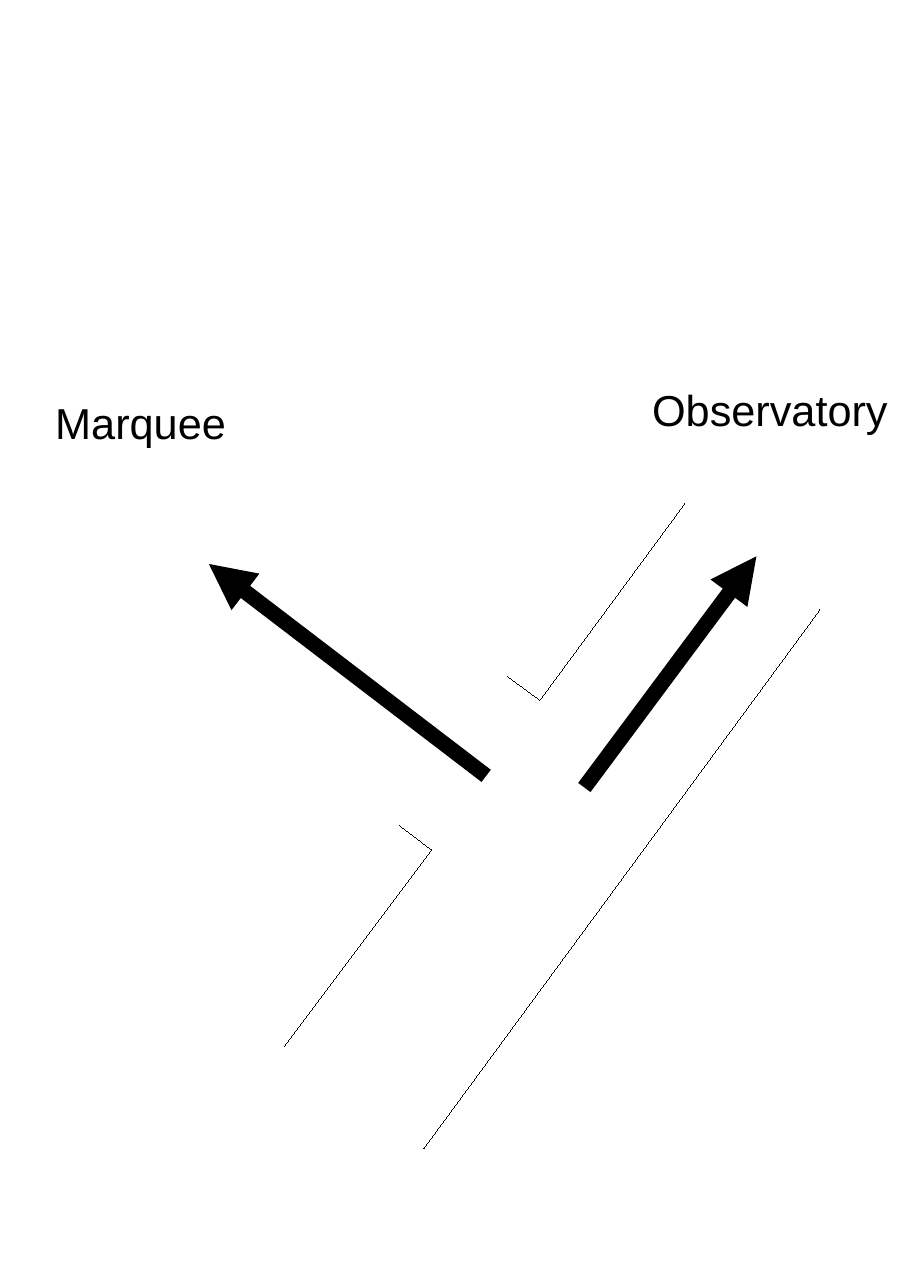
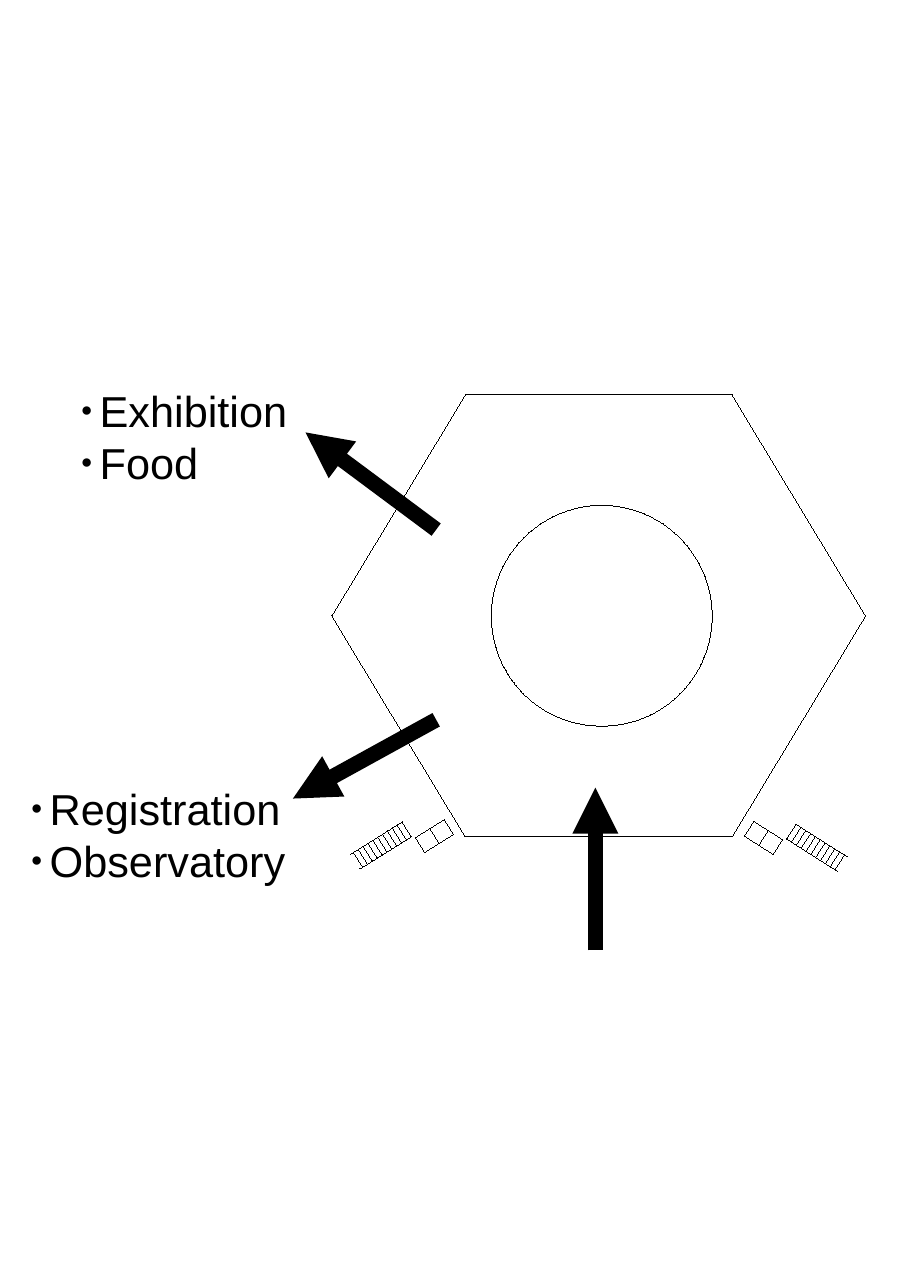
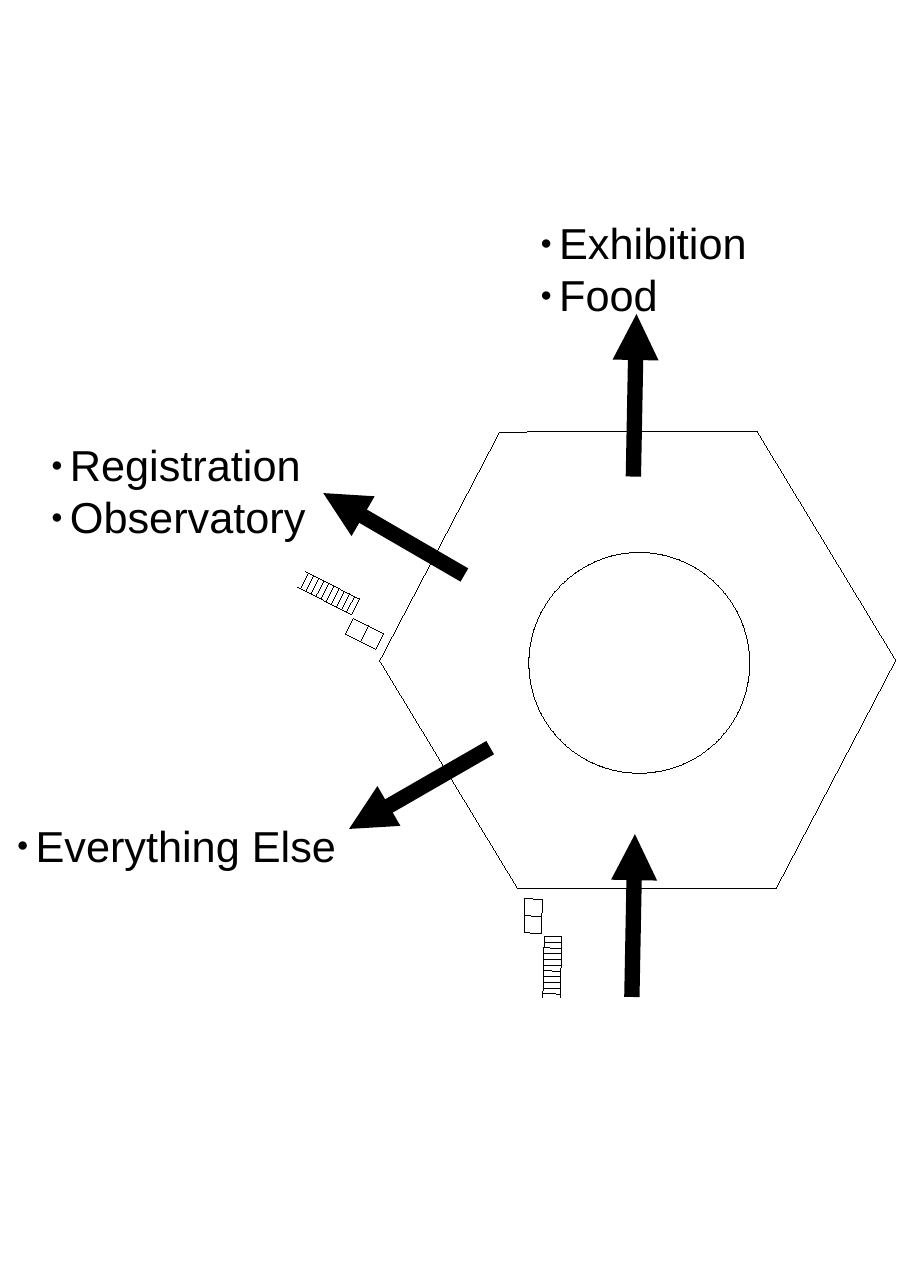
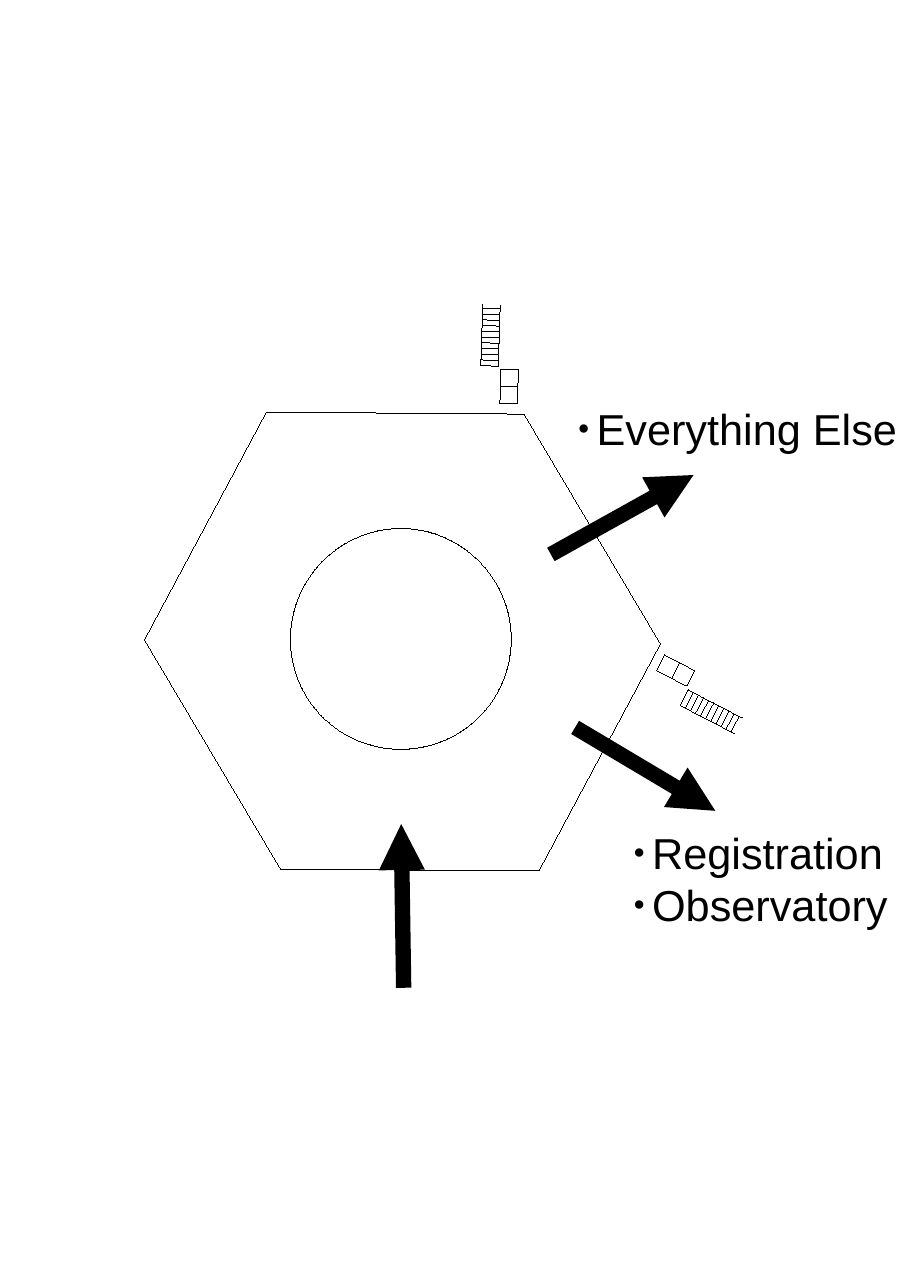
from dataclasses import dataclass
from math import cos, radians, sin
from typing import NamedTuple

from lxml.etree import SubElement
from pptx import Presentation
from pptx.dml.color import RGBColor
from pptx.dml.line import LineFormat
from pptx.enum.shapes import MSO_CONNECTOR, MSO_SHAPE
from pptx.enum.text import MSO_AUTO_SIZE
from pptx.oxml.ns import qn
from pptx.shapes.autoshape import Shape
from pptx.slide import Slide
from pptx.util import Cm, Pt

COLOURS = {"ink": "000000", "paper": "FFFFFF"}
LABEL_FONT = {"name": "Arial", "size": Pt(40)}
LABEL_FRAME = {
    "word_wrap": False,
    "auto_size": MSO_AUTO_SIZE.SHAPE_TO_FIT_TEXT,
    "margin_left": Cm(0.25),
    "margin_right": Cm(0.25),
    "margin_top": Cm(0.13),
    "margin_bottom": Cm(0.13),
}
BULLET_INDENT = Cm(0.61)
LINE_HEIGHT = 1.57
FRAME_PADDING = 0.26

HAIRLINE = Pt(0)
ARROW_WIDTH = Pt(14.17)

HEXAGON_WIDTH, HEXAGON_HEIGHT = 17.4, 14.4
HEXAGON_INSET = 0.302
CIRCLE_DIAMETER = 7.2
CIRCLE_OFFSET = 0.1
STAIR_LENGTH, STAIR_WIDTH = 1.98, 0.57
TREAD_COUNT, LAST_TREAD = 11, 1.87
LIFT_LENGTH = 1.11


class Point(NamedTuple):
    """A place on the slide or an offset, in centimetres."""
    x: float
    y: float

    def moved(self, offset: "Point") -> "Point":
        return Point(self.x + offset.x, self.y + offset.y)

    def turned(self, degrees: float) -> "Point":
        cosine, sine = cos(radians(degrees)), sin(radians(degrees))
        return Point(self.x * cosine - self.y * sine, self.x * sine + self.y * cosine)


class Segment(NamedTuple):
    start: Point
    end: Point


class Label(NamedTuple):
    position: Point
    width: float
    lines: list[str]
    bulleted: bool = True


class Staircase(NamedTuple):
    """Stairs and lift outside the building; side is 1 or -1, the way the treads run."""
    origin: Point
    heading: float
    side: int


class Building(NamedTuple):
    centre: Point
    rotation: float = 0


@dataclass
class Sign:
    arrows: list[Segment]
    labels: list[Label]
    walls: tuple[Segment, ...] = ()
    building: Building | None = None


LIFT_OFFSET = Point(-1.21, 0.66)
STAIRCASES = [
    Staircase(Point(-6.41, 6.72), 148, -1),
    Staircase(Point(6.43, 6.79), 32.5, 1),
]


def segment(x1: float, y1: float, x2: float, y2: float) -> Segment:
    return Segment(Point(x1, y1), Point(x2, y2))


def exhibition(x: float, y: float) -> Label:
    return Label(Point(x, y), 7.3, ["Exhibition", "Food"])


def registration(x: float, y: float) -> Label:
    return Label(Point(x, y), 8.79, ["Registration", "Observatory"])


def everything_else(x: float, y: float) -> Label:
    return Label(Point(x, y), 11, ["Everything Else"])


SIGNS = [
    Sign(
        walls=(
            segment(26.72, 19.89, 13.82, 37.44),
            segment(22.33, 16.41, 17.6, 22.83),
            segment(17.6, 22.83, 16.54, 22.05),
            segment(9.27, 34.11, 14.07, 27.71),
            segment(13.03, 26.92, 14.07, 27.71),
        ),
        arrows=[segment(19.05, 25.68, 24.66, 18.14), segment(15.85, 25.3, 6.81, 18.39)],
        labels=[
            Label(Point(21.01, 12.37), 8.18, ["Observatory"], bulleted=False),
            Label(Point(1.55, 12.8), 6.07, ["Marquee"], bulleted=False),
        ],
    ),
    Sign(
        building=Building(Point(19.52, 20.08)),
        arrows=[
            segment(19.41, 30.99, 19.41, 25.68),
            segment(14.22, 17.27, 9.96, 14.1),
            segment(14.22, 23.47, 9.55, 26.04),
        ],
        labels=[exhibition(2.39, 12.4), registration(0.76, 25.37)],
    ),
    Sign(
        building=Building(Point(20.79, 21.53), 58.8),
        arrows=[
            segment(15.98, 24.38, 11.38, 27.03),
            segment(20.65, 15.54, 20.75, 10.24),
            segment(15.14, 18.75, 10.54, 16.08),
            segment(20.6, 32.51, 20.7, 27.2),
        ],
        labels=[exhibition(17.37, 6.93), registration(1.42, 14.17), everything_else(0.3, 26.57)],
    ),
    Sign(
        building=Building(Point(13.12, 20.92), 239.3),
        arrows=[
            segment(17.96, 18.08, 22.61, 15.49),
            segment(13.16, 32.21, 13.08, 26.87),
            segment(18.75, 23.72, 23.32, 26.44),
        ],
        labels=[registration(20.4, 26.8), everything_else(18.59, 12.98)],
    ),
]


def colour(name: str) -> RGBColor:
    return RGBColor.from_string(COLOURS[name])


def format_line(line: LineFormat, width: Pt) -> None:
    """Write the width as an attribute, since the width property leaves out zero."""
    line.color.rgb = colour("ink")
    line._get_or_add_ln().set("w", str(int(width)))


def draw_line(slide: Slide, line: Segment, arrow: bool = False) -> None:
    (x1, y1), (x2, y2) = line
    connector = slide.shapes.add_connector(MSO_CONNECTOR.STRAIGHT, Cm(x1), Cm(y1), Cm(x2), Cm(y2))
    format_line(connector.line, ARROW_WIDTH if arrow else HAIRLINE)
    if arrow:
        SubElement(connector.line._get_or_add_ln(), qn("a:tailEnd"), type="triangle")
    SubElement(connector._element.spPr, qn("a:effectLst"))


def draw_outline(slide: Slide, preset: MSO_SHAPE, centre: Point, width: float, height: float) -> Shape:
    shape = slide.shapes.add_shape(
        preset, Cm(centre.x - width / 2), Cm(centre.y - height / 2), Cm(width), Cm(height))
    shape.shadow.inherit = False
    shape.fill.solid()
    shape.fill.fore_color.rgb = colour("paper")
    format_line(shape.line, HAIRLINE)
    return shape


def draw_staircase(slide: Slide, staircase: Staircase, building: Building) -> None:
    def place(along: float, across: float) -> Point:
        local = Point(along, across * staircase.side).turned(staircase.heading)
        return building.centre.moved(staircase.origin.moved(local).turned(building.rotation))

    def draw_rails(along: float, across: float, length: float) -> None:
        for rail in (across, across + STAIR_WIDTH):
            draw_line(slide, Segment(place(along, rail), place(along + length, rail)))

    def draw_tread(along: float, across: float) -> None:
        draw_line(slide, Segment(place(along, across), place(along, across + STAIR_WIDTH)))

    draw_rails(0, 0, STAIR_LENGTH)
    for index in range(TREAD_COUNT):
        draw_tread(index * LAST_TREAD / (TREAD_COUNT - 1), 0)
    draw_rails(*LIFT_OFFSET, LIFT_LENGTH)
    for fraction in (0, 0.5, 1):
        draw_tread(LIFT_OFFSET.x + fraction * LIFT_LENGTH, LIFT_OFFSET.y)


def draw_building(slide: Slide, building: Building) -> None:
    hexagon = draw_outline(slide, MSO_SHAPE.HEXAGON, building.centre, HEXAGON_WIDTH, HEXAGON_HEIGHT)
    hexagon.adjustments[0] = HEXAGON_INSET
    hexagon.rotation = building.rotation
    circle_centre = building.centre.moved(Point(CIRCLE_OFFSET, 0).turned(building.rotation))
    circle = draw_outline(slide, MSO_SHAPE.OVAL, circle_centre, CIRCLE_DIAMETER, CIRCLE_DIAMETER)
    circle.rotation = building.rotation
    for staircase in STAIRCASES:
        draw_staircase(slide, staircase, building)


def add_bullet(paragraph) -> None:
    properties = paragraph._p.get_or_add_pPr()
    properties.set("marL", str(BULLET_INDENT))
    properties.set("indent", str(-BULLET_INDENT))
    bullet_colour = SubElement(properties, qn("a:buClr"))
    SubElement(bullet_colour, qn("a:srgbClr"), val=COLOURS["ink"])
    SubElement(properties, qn("a:buSzPct"), val="45000")
    SubElement(properties, qn("a:buFont"), typeface=LABEL_FONT["name"])
    SubElement(properties, qn("a:buChar"), char="●")


def draw_label(slide: Slide, label: Label) -> None:
    height = len(label.lines) * LINE_HEIGHT + FRAME_PADDING
    box = slide.shapes.add_textbox(
        Cm(label.position.x), Cm(label.position.y), Cm(label.width), Cm(height))
    frame = box.text_frame
    for name, value in LABEL_FRAME.items():
        setattr(frame, name, value)
    frame.text = "\n".join(label.lines)
    for paragraph in frame.paragraphs:
        if label.bulleted:
            add_bullet(paragraph)
        font = paragraph.runs[0].font
        for name, value in LABEL_FONT.items():
            setattr(font, name, value)
        font.color.rgb = colour("ink")


def draw_sign(slide: Slide, sign: Sign) -> None:
    if sign.building:
        draw_building(slide, sign.building)
    for wall in sign.walls:
        draw_line(slide, wall)
    for arrow in sign.arrows:
        draw_line(slide, arrow, arrow=True)
    for label in sign.labels:
        draw_label(slide, label)


def main() -> None:
    presentation = Presentation()
    presentation.slide_width, presentation.slide_height = Cm(29.7), Cm(42)
    blank_layout = presentation.slide_layouts[6]
    for sign in SIGNS:
        draw_sign(presentation.slides.add_slide(blank_layout), sign)
    presentation.save("out.pptx")


if __name__ == "__main__":
    main()
